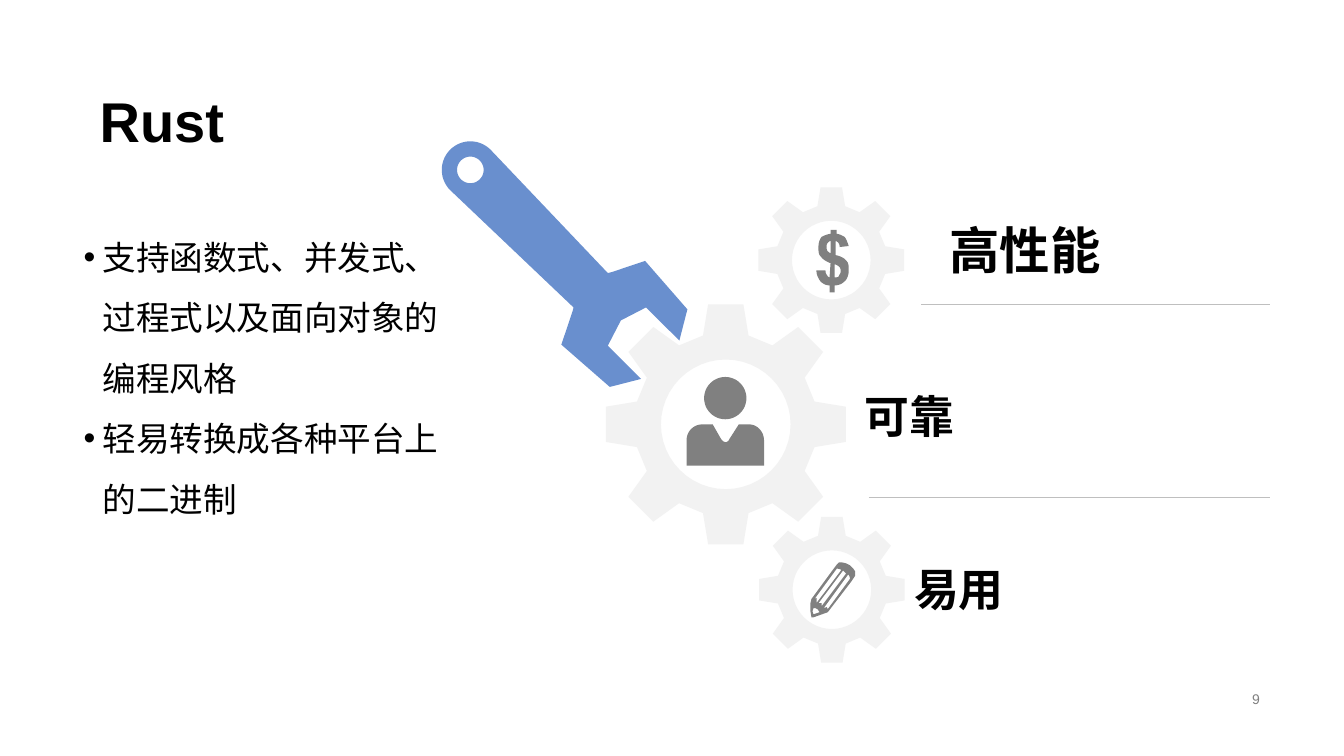
from dataclasses import dataclass
from math import cos, radians, sin

from lxml.etree import SubElement
from pptx import Presentation
from pptx.dml.color import RGBColor as RGB
from pptx.enum.shapes import MSO_CONNECTOR as Connector
from pptx.enum.text import MSO_ANCHOR as Anchor, PP_ALIGN as Align
from pptx.oxml.ns import qn
from pptx.util import Pt


@dataclass(frozen=True)
class Theme:
    font: str = "Arial"
    ink: RGB = RGB(0, 0, 0)
    icon: RGB = RGB(0x80, 0x80, 0x80)
    gear: RGB = RGB(0xF2, 0xF2, 0xF2)
    wrench: RGB = RGB(0x69, 0x8F, 0xCE)
    rule: RGB = RGB(0xBF, 0xBF, 0xBF)
    title: int = 40
    lead: int = 36
    label: int = 32
    body: int = 24
    number: int = 10


THEME = Theme()


def arc(cx, cy, radius, start=0, end=360, steps=48):
    angles = [radians(start + (end - start) * i / steps) for i in range(steps + 1)]
    return [(cx + radius * cos(a), cy + radius * sin(a)) for a in angles]


def flatten(contour, steps=8):
    points = []
    for item in contour:
        if len(item) == 2:
            points.append(item)
            continue
        ax, ay, bx, by, ex, ey = item
        sx, sy = points[-1]
        for i in range(1, steps + 1):
            t = i / steps
            u = 1 - t
            points.append((
                u**3 * sx + 3 * u * u * t * ax + 3 * u * t * t * bx + t**3 * ex,
                u**3 * sy + 3 * u * u * t * ay + 3 * u * t * t * by + t**3 * ey,
            ))
    return points


def draw_outline(slide, box, grid_width, contours, color):
    left, top, width = box
    unit = width / grid_width
    builder = None
    for contour in contours:
        points = [(Pt(left + x * unit), Pt(top + y * unit)) for x, y in flatten(contour)]
        if builder is None:
            builder = slide.shapes.build_freeform(*points[0], scale=1.0)
        else:
            builder.move_to(*points[0])
        builder.add_line_segments(points[1:], close=True)
    outline = builder.convert_to_shape()
    outline.shadow.inherit = False
    outline.fill.solid()
    outline.fill.fore_color.rgb = color
    outline.line.fill.background()


def draw_gear(slide, box):
    tooth = [(0.74, -0.19), (1, -0.147), (1, 0.147), (0.74, 0.19)]
    rim = []
    for angle in range(0, 360, 45):
        c, s = cos(radians(angle)), sin(radians(angle))
        rim += [(1 + x * c - y * s, 1 + x * s + y * c) for x, y in tooth]
    draw_outline(slide, box, 2, [rim, arc(1, 1, 0.54)], THEME.gear)


def draw_wrench(slide, box):
    upper = [(121, 96.5), (123.8, 95.8), (147.6, 87.8), (177.8, 122.4),
             (172.1, 144.7), (148.3, 121), (130.3, 130.3)]
    lower = [(y, x) for x, y in reversed(upper[:-1])]
    handle = arc(22.8, 22.8, 20.4, 133, 317)
    draw_outline(slide, box, 178, [handle + upper + lower, arc(22.8, 22.8, 9.5)], THEME.wrench)


def draw_person(slide, box):
    bust = [(16, 47), (26, 47), (34, 61), (37, 66, 41, 66, 43, 61), (52, 47), (62, 47),
            (70, 47, 77, 54, 77, 63), (77, 88), (0, 88), (0, 63), (0, 54, 7, 47, 16, 47)]
    draw_outline(slide, box, 77, [arc(38.5, 21, 21), bust], THEME.icon)


def draw_dollar(slide, box):
    sign = [(13, 47), (14, 33), (9, 31, 6, 29, 4, 26), (2, 24, 2, 21, 2, 17),
            (2, 13, 3, 10, 5, 7), (7, 6, 11, 4, 14, 4), (14, 0), (20, 0), (20, 4),
            (23, 4, 26, 6, 28, 7), (30, 10, 31, 13, 32, 16), (23, 17),
            (23, 14, 22, 12, 19, 11), (19, 25), (24, 26, 28, 28, 30, 31),
            (32, 33, 32, 36, 32, 40), (32, 44, 31, 47, 29, 50), (26, 53, 23, 55, 18, 55),
            (18, 62), (13, 62), (13, 55), (9, 55, 6, 53, 4, 51), (2, 48, 0, 45, 0, 40),
            (9, 40), (9, 41, 9, 43, 10, 44), (11, 46, 12, 47, 13, 47)]
    upper_bowl = [(14, 11), (13, 11, 12, 12, 11, 13), (10, 15, 10, 15, 10, 17),
                  (10, 18, 10, 19, 11, 21), (11, 21, 13, 23, 14, 23)]
    lower_bowl = [(18, 47), (20, 47, 22, 47, 22, 46), (23, 44, 24, 43, 24, 41),
                  (24, 40, 24, 38, 23, 37), (22, 36, 21, 35, 18, 34)]
    draw_outline(slide, box, 33, [sign, upper_bowl, lower_bowl], THEME.icon)


def draw_pencil(slide, box):
    body = [(39, 3), (35, 1), (31, 0), (28, 0), (26, 2), (23, 6), (1, 36), (0, 40), (0, 48),
            (1, 54), (3, 54), (17, 49), (40, 19), (44, 13), (44, 9), (42, 6)]
    stripes = [
        [(17, 46), (16, 44), (13, 45), (37, 12), (38, 13), (39, 16)],
        [(11, 43), (11, 40), (8, 40), (32, 8), (34, 10), (35, 11)],
        [(26, 6), (30, 7), (30, 8), (6, 40), (6, 35), (4, 36)],
    ]
    tip = [(9, 49), (3, 51), (2, 48), (3, 45), (5, 45), (7, 46)]
    draw_outline(slide, box, 44, [body, *stripes, tip], THEME.icon)


def style(paragraph, size, color=THEME.ink, bold=False, align=Align.LEFT):
    paragraph.alignment = align
    font = paragraph.font
    font.name, font.size, font.bold = THEME.font, Pt(size), bold
    font.color.rgb = color


def add_text(slide, box, lines, size, anchor=Anchor.TOP, **look):
    frame = slide.shapes.add_textbox(*map(Pt, box)).text_frame
    frame.word_wrap = True
    frame.vertical_anchor = anchor
    frame.text = "\n".join(lines)
    for paragraph in frame.paragraphs:
        style(paragraph, size, **look)
    return frame


def add_title(slide, box, words):
    title = slide.shapes.title
    title.left, title.top, title.width, title.height = map(Pt, box)
    title.text_frame.text = words
    title.text_frame.vertical_anchor = Anchor.BOTTOM
    heading = title.text_frame.paragraphs[0]
    heading.line_spacing = 0.9
    style(heading, THEME.title, bold=True)


def add_features(slide, box, features):
    for paragraph in add_text(slide, box, features, THEME.body).paragraphs:
        paragraph.line_spacing = 1.5
        properties = paragraph._p.get_or_add_pPr()
        properties.set("marL", str(Pt(13.5)))
        properties.set("indent", str(Pt(-13.5)))
        SubElement(properties, qn("a:buFont")).set("typeface", THEME.font)
        SubElement(properties, qn("a:buChar")).set("char", "•")
        defaults = properties.find(qn("a:defRPr"))
        properties.append(defaults)


def add_rule(slide, left, right, y):
    rule = slide.shapes.add_connector(Connector.STRAIGHT, *map(Pt, (left, y, right, y)))
    rule.line.color.rgb = THEME.rule
    rule.line.width = Pt(0.25)
    SubElement(rule._element.spPr, qn("a:effectLst"))


def add_machine(slide, box):
    left, top = box
    for x, y, width, draw in [
        (229, 270.6, 104, draw_gear),
        (228.6, 35.2, 104, draw_gear),
        (119.5, 118.8, 171.4, draw_gear),
        (177.2, 170.7, 55.4, draw_person),
        (0, 0, 178, draw_wrench),
        (270, 65.6, 23.8, draw_dollar),
        (265.7, 303.1, 32, draw_pencil),
    ]:
        draw(slide, (left + x, top + y, width))


def add_strengths(slide, box):
    left, top, right = box
    for x, y, words, size in [
        (60.5, 0, "高性能", THEME.lead),
        (0, 116.6, "可靠", THEME.label),
        (35.3, 239.8, "易用", THEME.label),
    ]:
        add_text(slide, (left + x, top + y, 235.4, 34.6), [words], size, Anchor.BOTTOM, bold=True)
    for x, y in [(47.5, 49), (10, 186.5)]:
        add_rule(slide, left + x, right, top + y)


deck = Presentation()
deck.slide_width, deck.slide_height = Pt(960), Pt(540)
rust = deck.slides.add_slide(deck.slide_layouts[5])
add_title(rust, (64, 33, 855, 81), "Rust")
add_text(rust, (678, 491, 229, 16.6), ["9"], THEME.number, Anchor.MIDDLE,
         color=THEME.icon, align=Align.RIGHT)
add_machine(rust, (313.2, 98.6))
add_features(rust, (52.6, 151.2, 283, 236), [
    "支持函数式、并发式、过程式以及面向对象的编程风格",
    "轻易转换成各种平台上的二进制",
])
add_strengths(rust, (610.6, 168.5, 907.2))
deck.save("out.pptx")
